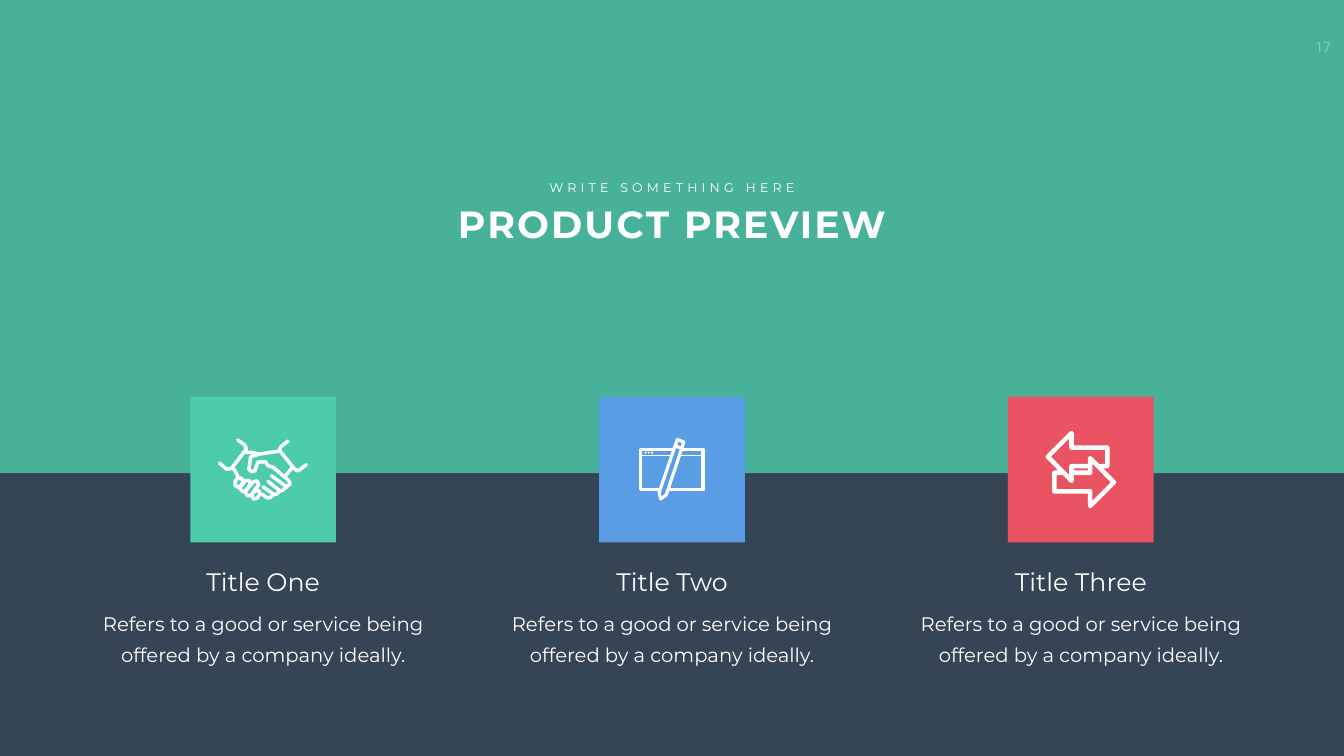
from lxml.etree import SubElement
from pptx import Presentation
from pptx.dml.color import RGBColor
from pptx.enum.shapes import MSO_SHAPE
from pptx.enum.text import MSO_ANCHOR, PP_ALIGN
from pptx.oxml.ns import qn
from pptx.util import Inches, Pt

WIDTH, HEIGHT = Inches(26.66), Inches(15)
HUNDREDTH = Inches(0.01)
COLORS = {
    "navy": "364556",
    "green": "4CCCAB",
    "blue": "5B9DE5",
    "red": "E95362",
    "white": "FFFFFF",
}
STYLES = {
    "number": {"size": Pt(20), "name": "Roboto"},
    "headline": {"size": Pt(54), "name": "Montserrat", "bold": True},
    "kicker": {"size": Pt(18), "name": "Montserrat"},
    "title": {"size": Pt(36), "name": "Montserrat"},
    "body": {"size": Pt(28), "name": "Montserrat"},
}
COLUMN_PITCH = 30.42
TILE = {"top": 52.47, "width": 10.84, "height": 19.27}
BODY = "Refers to a good or service being offered by a company ideally."

HANDSHAKE = [
    [(94, 86), (108, 96), (111, 103), (109, 107), (82, 142), (76, 144), (71, 143), (58, 132)],
    [(194, 88), (180, 99), (177, 104), (179, 109), (206, 143), (212, 147), (217, 145), (230, 135)],
    [(109, 110), (124, 111), (137, 114), (177, 108)],
    [(137, 114), (120, 119), (116, 144), (122, 149), (128, 147), (134, 130), (149, 129),
     (154, 137), (164, 140), (195, 166), (198, 173), (191, 179), (161, 157)],
    [(191, 179), (183, 186), (178, 187), (154, 168)],
    [(178, 187), (172, 193), (166, 194), (144, 179)],
    [(166, 194), (159, 200), (153, 201), (143, 194)],
    [(201, 142), (193, 152), (188, 158)],
    [(86, 143), (92, 153), (95, 161)],
    [(89, 168), (94, 162), (100, 161), (105, 167), (101, 176), (95, 180), (89, 176), (89, 168)],
    [(100, 179), (110, 166), (117, 166), (119, 173), (110, 187), (103, 188), (99, 183), (100, 179)],
    [(110, 187), (125, 169), (132, 167), (136, 174), (121, 195), (114, 197), (110, 192), (110, 187)],
    [(123, 193), (129, 187), (135, 186), (139, 192), (132, 202), (126, 203), (122, 198), (123, 193)],
]
WINDOW = [(82, 104), (206, 104), (206, 185), (82, 185), (82, 104)]
TOOLBAR = [(82, 117), (206, 117)]
PENCIL = [(155, 85), (168, 90), (133, 195), (122, 203), (119, 190), (155, 85)]
ERASER = [(151, 98), (165, 103)]
ARROW = [(162, 138), (126, 138), (126, 167), (79, 119), (126, 72),
         (126, 101), (197, 101), (197, 138), (184, 138)]


def paint(fill, color):
    fill.solid()
    fill.fore_color.rgb = RGBColor.from_string(COLORS[color])


def add_block(page, kind, left, top, width, height, color):
    block = page.shapes.add_shape(kind, left, top, width, height)
    block.shadow.inherit = False
    paint(block.fill, color)
    block.line.fill.background()
    return block


def add_text(page, text, style, center, top, width, height,
             spacing=0, wrap=True, margins=(0.1, 0.05), leading=None):
    left = (center - width / 2) / 100 * WIDTH
    box = page.shapes.add_textbox(
        int(left), int(top / 100 * HEIGHT), int(width / 100 * WIDTH), int(height / 100 * HEIGHT))
    frame = box.text_frame
    side, edge = map(Inches, margins)
    layout = {"word_wrap": wrap, "vertical_anchor": MSO_ANCHOR.TOP,
              "margin_left": side, "margin_right": side,
              "margin_top": edge, "margin_bottom": edge}
    for name, value in layout.items():
        setattr(frame, name, value)
    para = frame.paragraphs[0]
    para.alignment = PP_ALIGN.CENTER
    para.line_spacing = leading
    span = para.add_run()
    span.text = text
    for name, value in STYLES[style].items():
        setattr(span.font, name, value)
    span.font.color.rgb = RGBColor.from_string(COLORS["white"])
    if spacing:
        span.font._element.set("spc", str(spacing * 100))


def add_strokes(page, tile, strokes, weight, fill=None):
    builder = page.shapes.build_freeform(*strokes[0][0], scale=HUNDREDTH)
    for index, points in enumerate(strokes):
        if index:
            builder.move_to(*points[0])
        builder.add_line_segments(points[1:], close=False)
    outline = builder.convert_to_shape(tile.left, tile.top)
    outline.shadow.inherit = False
    if fill:
        paint(outline.fill, fill)
    else:
        outline.fill.background()
    paint(outline.line.fill, "white")
    outline.line.width = Pt(weight)
    line = outline.line._get_or_add_ln()
    line.set("cap", "rnd")
    SubElement(line, qn("a:round"))


def draw_handshake(page, tile):
    add_strokes(page, tile, HANDSHAKE, 5)


def draw_editor(page, tile):
    add_strokes(page, tile, [WINDOW], 4.5)
    add_strokes(page, tile, [TOOLBAR], 2.25)
    for step in range(3):
        left = tile.left + (90 + 6.5 * step) * HUNDREDTH
        add_block(page, MSO_SHAPE.OVAL, int(left), tile.top + 109 * HUNDREDTH,
                  4 * HUNDREDTH, 4 * HUNDREDTH, "white")
    add_strokes(page, tile, [PENCIL], 4.5, "blue")
    add_strokes(page, tile, [ERASER], 4.5)


def draw_arrows(page, tile):
    turned = [(289 - x, 289 - y) for x, y in ARROW]
    add_strokes(page, tile, [ARROW, turned], 6.5)


def add_column(page, center, title, color, draw_icon):
    left = (center - TILE["width"] / 2) / 100 * WIDTH
    tile = add_block(page, MSO_SHAPE.RECTANGLE, int(left), int(TILE["top"] / 100 * HEIGHT),
                     int(TILE["width"] / 100 * WIDTH), int(TILE["height"] / 100 * HEIGHT), color)
    draw_icon(page, tile)
    add_text(page, BODY, "body", center, 79.33, 27.53, 9.27,
             margins=(0.24, 0.12), leading=Pt(43))
    add_text(page, title, "title", center, 74.6, 18.04, 4.73)


def add_band(page):
    band = add_block(page, MSO_SHAPE.RECTANGLE, 0, 0, WIDTH, int(0.63 * HEIGHT), "green")
    band.height = int(62.6 / 100 * HEIGHT)
    color = band.fill._xPr.find(qn("a:solidFill"))[0]
    SubElement(color, qn("a:alpha"), val="80000")


def main():
    deck = Presentation()
    deck.slide_width, deck.slide_height = WIDTH, HEIGHT
    page = deck.slides.add_slide(deck.slide_layouts[6])
    paint(page.background.fill, "navy")
    add_text(page, "17", "number", 98.45, 4.47, 3, 3.6, wrap=False, margins=(0.2, 0.1))
    add_band(page)
    add_text(page, "PRODUCT PREVIEW", "headline", 50, 26.27, 44.71, 6.73, spacing=3)
    add_text(page, "WRITE SOMETHING HERE", "kicker", 50, 23.53, 19.43, 2.67, spacing=6, wrap=False)
    columns = [
        ("Title One", "green", draw_handshake),
        ("Title Two", "blue", draw_editor),
        ("Title Three", "red", draw_arrows),
    ]
    for index, column in enumerate(columns):
        add_column(page, 50 + (index - 1) * COLUMN_PITCH, *column)
    deck.save("out.pptx")


if __name__ == "__main__":
    main()
